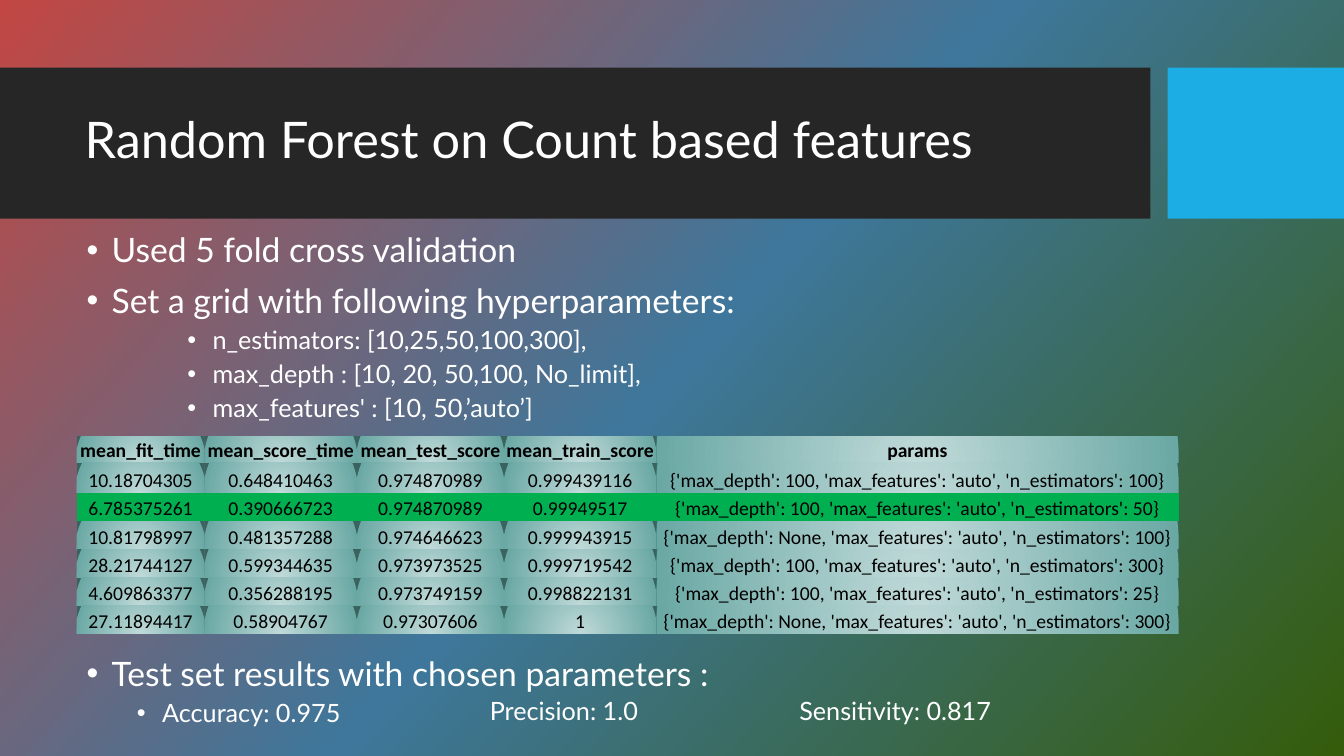
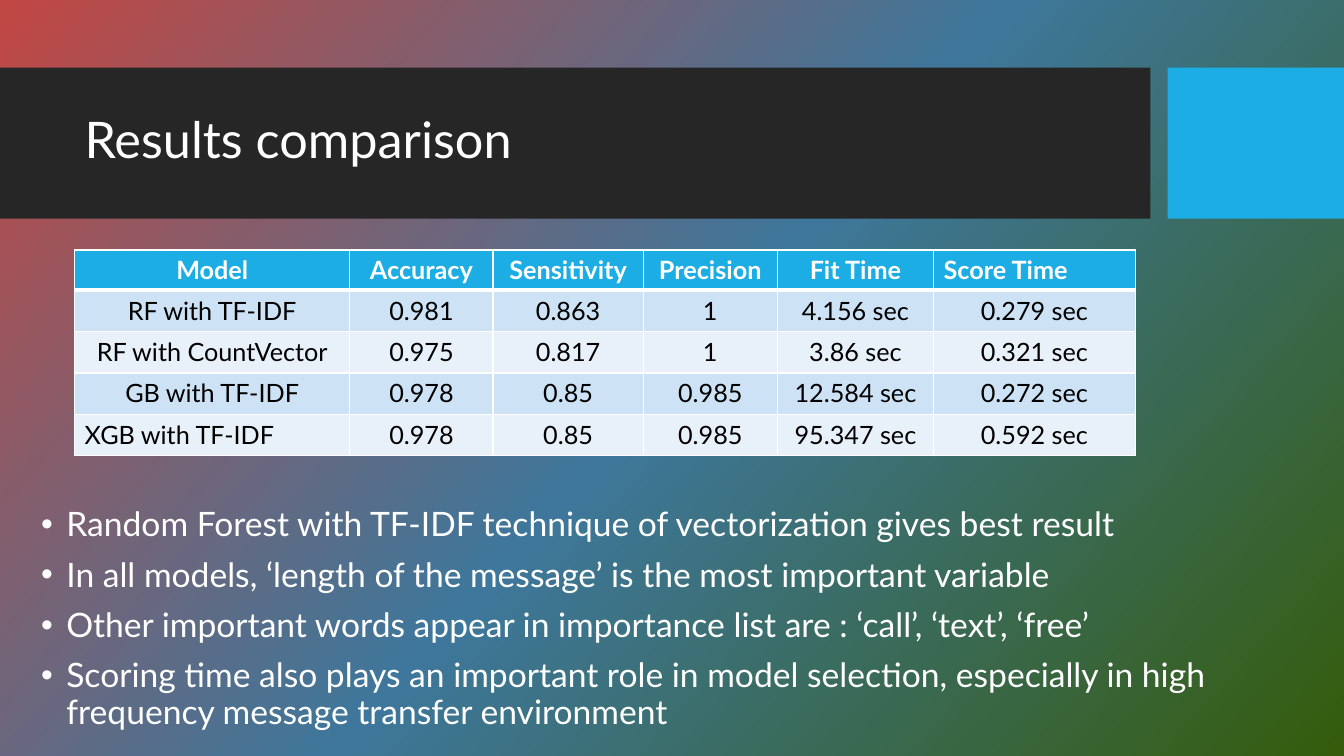
from lxml.etree import SubElement
from pptx import Presentation
from pptx.dml.color import RGBColor
from pptx.enum.shapes import MSO_SHAPE
from pptx.enum.text import MSO_ANCHOR, PP_ALIGN
from pptx.oxml.ns import qn
from pptx.util import Pt

SCALE = 9144
WIDE, HIGH = 1333, 750

COLORS = {
    "red": "C24743", "blue": "3E779B", "olive": "355C0B",
    "dark": "262626", "sky": "1CADE4", "white": "FFFFFF", "black": "000000",
    "pale": "C0DAD9", "teal": "6AA8A4", "deep": "3A6360", "green": "00B050",
    "band": "CDE3F5", "light": "E8F1FA",
}
BACK = [(0, "red"), (50, "blue"), (100, "olive")]
GLOW = [(0, "pale"), (100, "teal"), (100, "deep")]
BANDS = [((0, 67, 1141, 150), "dark"), ((1158, 67, 175, 150), "sky")]
TITLE = (74, 82, 1051, 118)

LEVELS = [
    {"size": 24, "left": 25, "before": 10},
    {"size": 18, "left": 75, "before": 5},
    {"size": 18, "left": 125, "before": 5},
]

SETUP = [
    (0, "Used 5 fold cross validation"),
    (0, "Set a grid with following hyperparameters:"),
    (2, "n_estimators: [10,25,50,100,300],"),
    (2, "max_depth : [10, 20, 50,100, No_limit],"),
    (2, "max_features' : [10, 50,’auto’]"),
]
TESTED = [
    (0, "Test set results with chosen parameters :"),
    (1, "Accuracy: 0.975"),
]
SCORES = ["Precision: 1.0", "Sensitivity: 0.817"]
FINDINGS = [
    (0, "Random Forest with TF-IDF technique of vectorization gives best result"),
    (0, "In all models, ‘length of the message’ is the most important variable"),
    (0, "Other important words appear in importance list are : ‘call’, ‘text’, ‘free’"),
    (0, "Scoring time also plays an important role in model selection, "
        "especially in high frequency message transfer environment"),
]

SEARCH = {
    "place": (76, 433), "cols": [127, 151, 146, 151, 518],
    "tall": [26, 30, 28, 28, 28, 28, 28], "pads": (1, 1, 1, 0),
    "anchor": MSO_ANCHOR.BOTTOM, "font": "Calibri", "size": 14,
    "head": "black", "fills": [GLOW, GLOW, "green", GLOW, GLOW, GLOW, GLOW],
    "lines": False, "left": [],
    "rows": [
        ("mean_fit_time", "mean_score_time", "mean_test_score", "mean_train_score", "params"),
        ("10.18704305", "0.648410463", "0.974870989", "0.999439116",
         "{'max_depth': 100, 'max_features': 'auto', 'n_estimators': 100}"),
        ("6.785375261", "0.390666723", "0.974870989", "0.99949517",
         "{'max_depth': 100, 'max_features': 'auto', 'n_estimators': 50}"),
        ("10.81798997", "0.481357288", "0.974646623", "0.999943915",
         "{'max_depth': None, 'max_features': 'auto', 'n_estimators': 100}"),
        ("28.21744127", "0.599344635", "0.973973525", "0.999719542",
         "{'max_depth': 100, 'max_features': 'auto', 'n_estimators': 300}"),
        ("4.609863377", "0.356288195", "0.973749159", "0.998822131",
         "{'max_depth': 100, 'max_features': 'auto', 'n_estimators': 25}"),
        ("27.11894417", "0.58904767", "0.97307606", "1",
         "{'max_depth': None, 'max_features': 'auto', 'n_estimators': 300}"),
    ],
}
MODELS = {
    "place": (74, 248), "cols": [273, 142, 149, 133, 155, 200],
    "tall": [40, 41, 41, 41, 41], "pads": (10, 5, 10, 5),
    "anchor": MSO_ANCHOR.TOP, "font": "Lato", "size": 18,
    "head": "white", "fills": ["sky", "band", "light", "band", "light"],
    "lines": True, "left": ["Score Time", "XGB with TF-IDF"],
    "rows": [
        ("Model", "Accuracy", "Sensitivity", "Precision", "Fit Time", "Score Time"),
        ("RF with TF-IDF", "0.981", "0.863", "1", "4.156 sec", "0.279 sec"),
        ("RF with CountVector", "0.975", "0.817", "1", "3.86 sec", "0.321 sec"),
        ("GB with TF-IDF", "0.978", "0.85", "0.985", "12.584 sec", "0.272 sec"),
        ("XGB with TF-IDF", "0.978", "0.85", "0.985", "95.347 sec", "0.592 sec"),
    ],
}
PLAIN = "{2D5ABB26-0587-4C30-8999-92F81FD0307C}"


def emu(*nums):
    return [num * SCALE for num in nums]


def rgb(name):
    return RGBColor.from_string(COLORS[name])


def assign(item, **values):
    for key, value in values.items():
        setattr(item, key, value)


def node(parent, tag, **values):
    return SubElement(parent, qn(tag), {key: str(val) for key, val in values.items()})


def blend(parent, stops):
    grad = node(parent, "a:gradFill", rotWithShape=1)
    marks = node(grad, "a:gsLst")
    for spot, name in stops:
        mark = node(marks, "a:gs", pos=spot * 1000)
        node(mark, "a:srgbClr", val=COLORS[name])
    return grad


def write(para, text, size, color="white", font="Lato", bold=False):
    run = para.add_run()
    run.text = text
    assign(run.font, size=Pt(size), name=font, bold=bold)
    run.font.color.rgb = rgb(color)


def box(slide, place, anchor=MSO_ANCHOR.TOP):
    frame = slide.shapes.add_textbox(*emu(*place)).text_frame
    assign(frame, word_wrap=True, vertical_anchor=anchor)
    return frame


def bullets(slide, place, items):
    frame = box(slide, place)
    for num, (level, text) in enumerate(items):
        para = frame.add_paragraph() if num else frame.paragraphs[0]
        form = LEVELS[level]
        assign(para, level=level, line_spacing=0.9, space_before=Pt(form["before"]))
        props = para._p.get_or_add_pPr()
        props.set("marL", str(form["left"] * SCALE))
        props.set("indent", str(-25 * SCALE))
        node(props, "a:buFont", typeface="Arial")
        node(props, "a:buChar", char="•")
        write(para, text, form["size"])


def edges(props, head):
    for side in "LRTB":
        wide = 3 if head and side == "B" else 1
        line = node(props, f"a:ln{side}", w=Pt(wide))
        fill = node(line, "a:solidFill")
        node(fill, "a:srgbClr", val=COLORS["white"])


def paint(cell, fill):
    if isinstance(fill, str):
        cell.fill.solid()
        cell.fill.fore_color.rgb = rgb(fill)
        return
    shade = node(blend(cell._tc.get_or_add_tcPr(), fill), "a:path", path="circle")
    node(shade, "a:fillToRect", l=50000, t=130000, r=50000, b=-30000)


def grid(slide, data):
    rows, cols, tall = data["rows"], data["cols"], data["tall"]
    size = (sum(cols), sum(tall))
    table = slide.shapes.add_table(len(rows), len(cols), *emu(*data["place"], *size)).table
    assign(table, horz_banding=False)
    table._tbl.tblPr.find(qn("a:tableStyleId")).text = PLAIN
    for col, wide in zip(table.columns, cols):
        col.width = wide * SCALE
    names = ("margin_left", "margin_top", "margin_right", "margin_bottom")
    pads = dict(zip(names, emu(*data["pads"])))
    for num, texts in enumerate(rows):
        table.rows[num].height = tall[num] * SCALE
        head = num == 0
        for spot, text in enumerate(texts):
            cell = table.cell(num, spot)
            assign(cell, vertical_anchor=data["anchor"], **pads)
            if data["lines"]:
                edges(cell._tc.get_or_add_tcPr(), head)
            paint(cell, data["fills"][num])
            para = cell.text_frame.paragraphs[0]
            para.alignment = PP_ALIGN.LEFT if text in data["left"] else PP_ALIGN.CENTER
            color = data["head"] if head else "black"
            write(para, text, data["size"], color, data["font"], head)


def backdrop(deck):
    master = deck.slide_master
    master.background.fill.solid()
    props = master.element.find(".//" + qn("p:bgPr"))
    props.remove(props[0])
    grad = blend(props, BACK)
    node(grad, "a:lin", ang=42 * 60000, scaled=0)
    props.insert(0, grad)


def page(deck, title):
    slide = deck.slides.add_slide(deck.slide_layouts[6])
    for place, name in BANDS:
        band = slide.shapes.add_shape(MSO_SHAPE.RECTANGLE, *emu(*place))
        band.shadow.inherit = False
        band.fill.solid()
        band.fill.fore_color.rgb = rgb(name)
        band.line.fill.background()
    para = box(slide, TITLE, MSO_ANCHOR.MIDDLE).paragraphs[0]
    para.line_spacing = 0.9
    write(para, title, 36)
    return slide


def main():
    deck = Presentation()
    assign(deck, slide_width=WIDE * SCALE, slide_height=HIGH * SCALE)
    backdrop(deck)

    forest = page(deck, "Random Forest on Count based features")
    bullets(forest, (76, 227, 1051, 200), SETUP)
    grid(forest, SEARCH)
    bullets(forest, (76, 647, 1051, 80), TESTED)
    for num, text in enumerate(SCORES):
        para = box(forest, (476 + 307 * num, 688, 300, 36)).paragraphs[0]
        para.line_spacing = 0.9
        write(para, text, 18)

    compare = page(deck, "Results comparison")
    grid(compare, MODELS)
    bullets(compare, (31, 499, 1195, 240), FINDINGS)
    deck.save("out.pptx")


if __name__ == "__main__":
    main()
